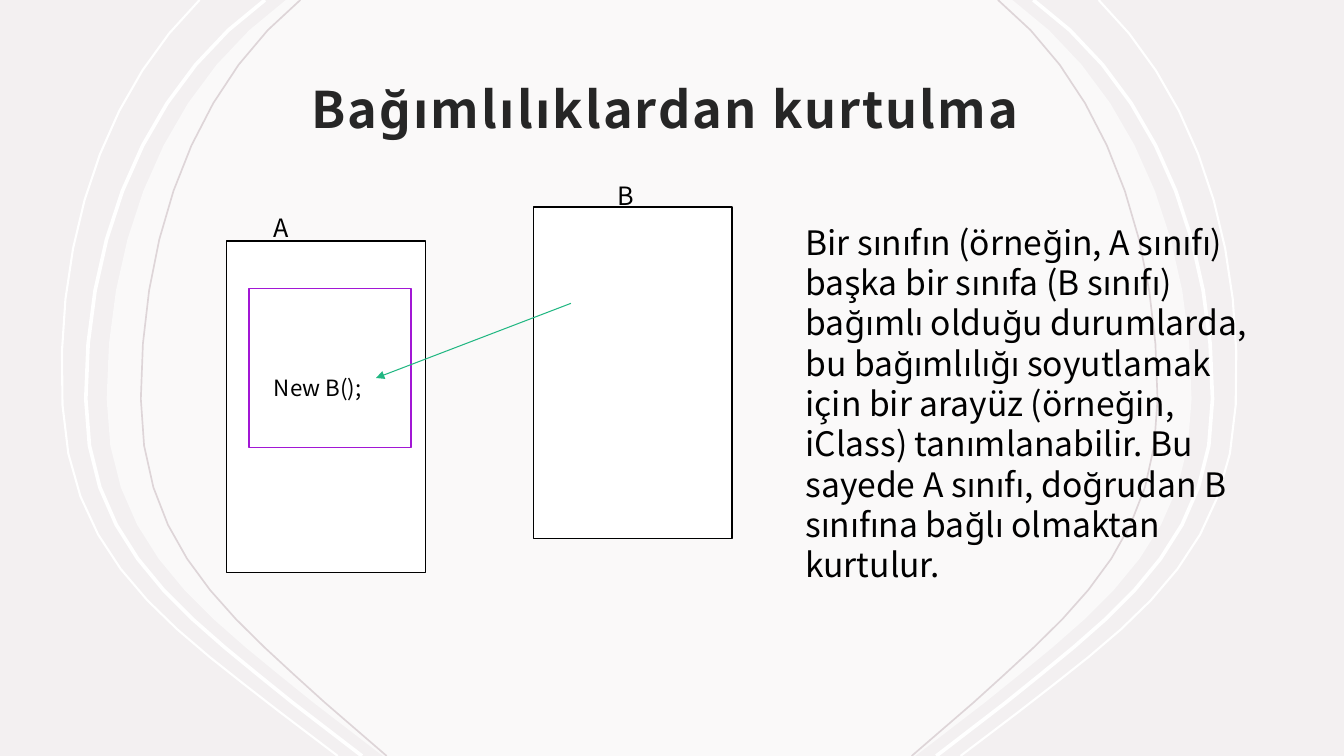
from lxml.etree import SubElement
from pptx import Presentation
from pptx.dml.color import RGBColor
from pptx.enum.shapes import MSO_CONNECTOR, MSO_SHAPE
from pptx.enum.text import MSO_ANCHOR, PP_ALIGN
from pptx.oxml.ns import qn
from pptx.util import Pt

WHITE = RGBColor(0xFF, 0xFF, 0xFF)
BLACK = RGBColor(0x00, 0x00, 0x00)
BACKGROUND = RGBColor(0xF3, 0xF0, 0xF1)
MAUVE = RGBColor(0xDE, 0xD5, 0xD8)
TITLE_INK = RGBColor(0x26, 0x26, 0x26)
PURPLE = RGBColor(0xA2, 0x17, 0xD5)
GREEN = RGBColor(0x21, 0xB7, 0x82)
FONT = "Noto Sans CJK JP"
MIRROR_WIDTH = 927.4
CURVE_STEPS = 9

ROUND_EDGE = [
    (128, 0), (45.4, 59.8), (0, 165), (0, 285),
    (0, 391), (73.4, 441.4), (147.6, 501.8), (197.3, 540),
]
TILTED_EDGE = [
    (98.6, 0), (29.5, 67.7), (-5, 172.8), (0.7, 289.4),
    (5.8, 399.6), (79.2, 448.6), (155.5, 508.3), (197.3, 540),
]
BODY = (
    "Bir sınıfın (örneğin, A sınıfı) başka bir sınıfa (B sınıfı) bağımlı "
    "olduğu durumlarda, bu bağımlılığı soyutlamak için bir arayüz (örneğin, "
    "iClass) tanımlanabilir. Bu sayede A sınıfı, doğrudan B sınıfına bağlı "
    "olmaktan kurtulur."
)


def bezier(a, b, c, d, t):
    u = 1 - t
    return tuple(
        u**3 * i + 3 * u * u * t * j + 3 * u * t * t * k + t**3 * m
        for i, j, k, m in zip(a, b, c, d)
    )


def trace(edge, left, scale=1):
    points = [edge[0]]
    for i in (0, 3):
        points += [
            bezier(*edge[i:i + 4], n / CURVE_STEPS)
            for n in range(1, CURVE_STEPS + 1)
        ]
    points.append(edge[-1])
    return [(left + x * scale, y) for x, y in points]


def mirror(points):
    return [(MIRROR_WIDTH - x, y) for x, y in points]


def add_outline(s, points, close):
    start, *rest = [(Pt(x), Pt(y)) for x, y in points]
    builder = s.shapes.build_freeform(*start, scale=1.0)
    builder.add_line_segments(rest, close=close)
    sp = builder.convert_to_shape()
    sp.shadow.inherit = False
    return sp


def add_bowl(s, side):
    sp = add_outline(s, side + mirror(side)[::-1], True)
    sp.fill.solid()
    sp.fill.fore_color.rgb = WHITE
    sp.line.fill.background()
    srgb = next(sp._element.spPr.iter(qn("a:srgbClr")))
    SubElement(srgb, qn("a:alpha"), val="60000")


def add_curves(s, side, width, color):
    for points in (side, mirror(side)):
        sp = add_outline(s, points, False)
        sp.fill.background()
        sp.line.color.rgb = color
        sp.line.width = Pt(width)


def add_box(s, left, top, width, height, color):
    sp = s.shapes.add_shape(
        MSO_SHAPE.RECTANGLE, Pt(left), Pt(top), Pt(width), Pt(height)
    )
    sp.shadow.inherit = False
    sp.fill.solid()
    sp.fill.fore_color.rgb = WHITE
    sp.line.color.rgb = color
    sp.line.width = Pt(1)


def add_text(s, text, left, top, width, height, size, color=BLACK, wrap=True):
    sp = s.shapes.add_textbox(Pt(left), Pt(top), Pt(width), Pt(height))
    tf = sp.text_frame
    tf.text = text
    tf.word_wrap = wrap
    font = tf.paragraphs[0].runs[0].font
    font.name = FONT
    font.size = Pt(size)
    font.color.rgb = color
    return tf


def add_title(s, text):
    tf = add_text(s, text, 167, 35.3, 625.7, 70.6, 36, TITLE_INK)
    tf.vertical_anchor = MSO_ANCHOR.BOTTOM
    tf.margin_left = tf.margin_right = tf.margin_top = Pt(8.64)
    tf.margin_bottom = Pt(7.2)
    p = tf.paragraphs[0]
    p.alignment = PP_ALIGN.CENTER
    p.line_spacing = 1.2
    r = p.runs[0]
    r.font.bold = True
    r._r.get_or_add_rPr().set("spc", "150")


def add_arrow(s, x1, y1, x2, y2):
    arrow = s.shapes.add_connector(
        MSO_CONNECTOR.STRAIGHT, Pt(x1), Pt(y1), Pt(x2), Pt(y2)
    )
    arrow.line.color.rgb = GREEN
    arrow.line.width = Pt(0.75)
    SubElement(arrow.line._get_or_add_ln(), qn("a:tailEnd"), type="triangle")
    SubElement(arrow._element.spPr, qn("a:effectLst"))


def add_backdrop(s):
    s.background.fill.solid()
    s.background.fill.fore_color.rgb = BACKGROUND
    add_bowl(s, trace(ROUND_EDGE, 76.2))
    add_curves(s, trace(TILTED_EDGE, 44), 1.5, WHITE)
    add_curves(s, trace(ROUND_EDGE, 61.3), 2.6, WHITE)
    add_curves(s, trace(ROUND_EDGE, 100.6, 0.89), 1.2, MAUVE)


def main():
    prs = Presentation()
    prs.slide_width, prs.slide_height = Pt(960), Pt(540)
    s = prs.slides.add_slide(prs.slide_layouts[6])
    add_backdrop(s)
    add_title(s, "Bağımlılıklardan kurtulma ")
    add_box(s, 162, 172, 142, 237, BLACK)
    add_box(s, 178, 206, 115.5, 113.5, PURPLE)
    add_text(s, "New B();", 188.6, 263.5, 92.2, 26.6, 16)
    add_box(s, 381, 147.8, 142, 237, BLACK)
    add_arrow(s, 407.8, 216.7, 268.6, 270)
    add_text(s, "A", 188.6, 147.8, 26.6, 29, 18, wrap=False)
    add_text(s, "B", 434, 125, 44.6, 29, 18)
    add_text(s, BODY, 568.3, 154.8, 332, 269.3, 24)
    prs.save("out.pptx")


if __name__ == "__main__":
    main()
